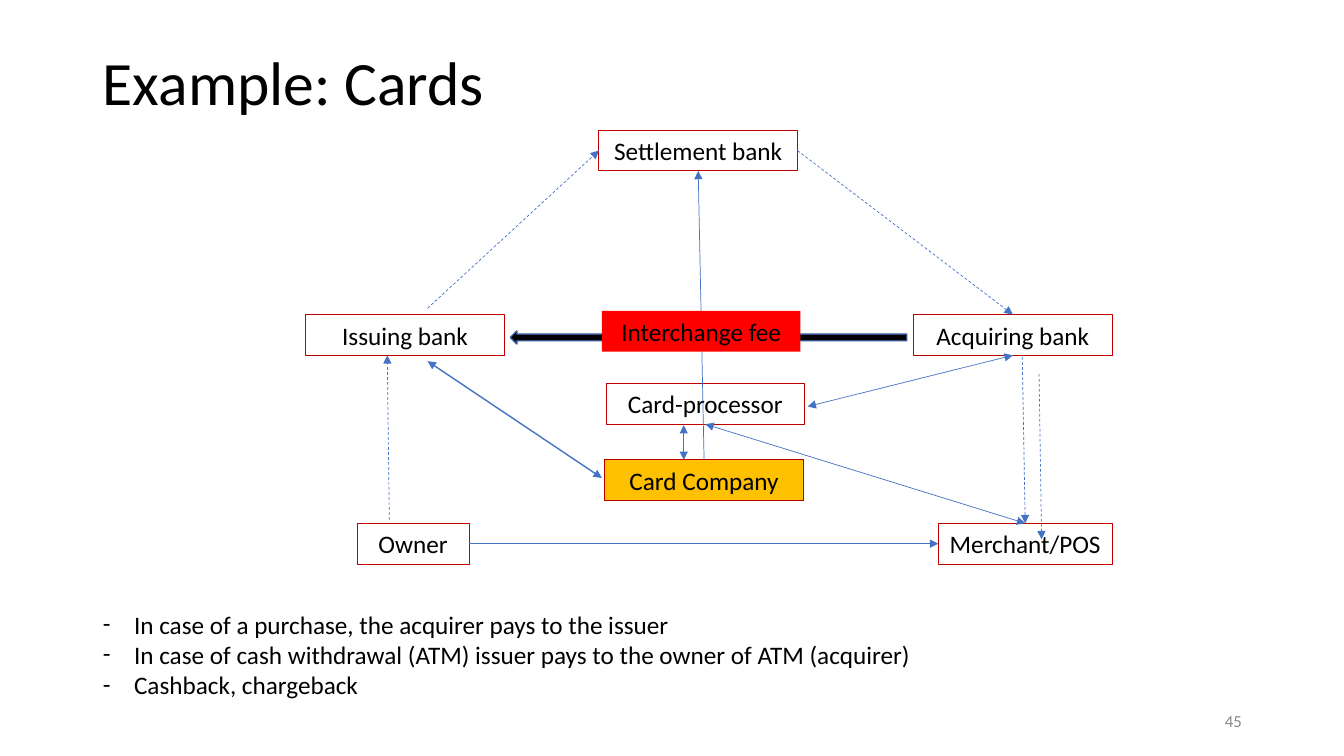
from dataclasses import dataclass
from typing import Any, Optional

from lxml import etree
from pptx import Presentation
from pptx import util as u
from pptx.dml.color import RGBColor
from pptx.enum import dml, shapes, text
from pptx.oxml import ns

COLUMNS, ROWS = 160, 90
WIDTH, HEIGHT = u.Inches(13.33), u.Inches(7.5)
BANK_WIDTH, BOX_HEIGHT = 23.64, 4.85
COLORS = {"ink": "000000", "border": "C00000", "card": "FFC000", "fee": "FF0000",
          "arrow": "4472C4", "outline": "325491", "number": "898989"}
Point = tuple[float, float]


@dataclass(frozen=True)
class Box:
    label: str
    column: float
    row: float
    width: float = BANK_WIDTH
    fill: Optional[str] = None
    line: Optional[str] = "border"

    @property
    def top(self) -> Point:
        return self.column + self.width / 2, self.row

    @property
    def bottom(self) -> Point:
        return self.column + self.width / 2, self.row + BOX_HEIGHT

    @property
    def left(self) -> Point:
        return self.column, self.row + BOX_HEIGHT / 2

    @property
    def right(self) -> Point:
        return self.column + self.width, self.row + BOX_HEIGHT / 2


@dataclass(frozen=True)
class Arrow:
    start: Point
    end: Point
    both: bool = False
    dashed: bool = False
    weight: float = 0.5


def across(columns: float) -> int:
    return round(WIDTH * columns / COLUMNS)


def down(rows: float) -> int:
    return round(HEIGHT * rows / ROWS)


def area(column: float, row: float, width: float, height: float) -> tuple[int, ...]:
    return across(column), down(row), across(width), down(height)


def color(name: str) -> RGBColor:
    return RGBColor.from_string(COLORS[name])


def apply(target: Any, values: dict[str, Any]) -> None:
    for name, value in values.items():
        setattr(target, name, value)


def write(para: Any, words: str, size: float, ink: str = "ink", **layout: Any) -> None:
    span = para.add_run()
    span.text = words
    apply(para, layout)
    apply(span.font, {"size": u.Pt(size), "name": "Calibri"})
    span.font.color.rgb = color(ink)


def paint(shape: Any, fill: Optional[str], line: Optional[str], weight: float) -> None:
    shape.shadow.inherit = False
    if fill:
        shape.fill.solid()
        shape.fill.fore_color.rgb = color(fill)
    else:
        shape.fill.background()
    if line:
        shape.line.color.rgb = color(line)
        shape.line.width = u.Pt(weight)
    else:
        shape.line.fill.background()


def draw_box(page: Any, box: Box) -> None:
    shape = page.shapes.add_shape(shapes.MSO_SHAPE.RECTANGLE,
                                  *area(box.column, box.row, box.width, BOX_HEIGHT))
    paint(shape, box.fill, box.line, 0.75)
    apply(shape.text_frame, {"word_wrap": False,
                             "vertical_anchor": text.MSO_ANCHOR.MIDDLE})
    write(shape.text_frame.paragraphs[0], box.label, 18, alignment=text.PP_ALIGN.CENTER)


def draw_arrow(page: Any, arrow: Arrow) -> None:
    (x1, y1), (x2, y2) = arrow.start, arrow.end
    connector = page.shapes.add_connector(shapes.MSO_CONNECTOR.STRAIGHT,
                                          across(x1), down(y1), across(x2), down(y2))
    connector.line.color.rgb = color("arrow")
    connector.line.width = u.Pt(arrow.weight)
    if arrow.dashed:
        connector.line.dash_style = dml.MSO_LINE.DASH
    outline = connector.line._get_or_add_ln()
    for end in ("a:headEnd", "a:tailEnd") if arrow.both else ("a:tailEnd",):
        etree.SubElement(outline, ns.qn(end), type="triangle")
    etree.SubElement(connector._element.spPr, ns.qn("a:effectLst"))


def fill_title(page: Any, words: str) -> None:
    title = page.shapes.title
    apply(title, dict(zip(("left", "top", "width", "height"), area(11.04, 4.8, 138, 10.68))))
    apply(title.text_frame, {"auto_size": text.MSO_AUTO_SIZE.NONE,
                             "vertical_anchor": text.MSO_ANCHOR.MIDDLE})
    write(title.text_frame.paragraphs[0], words, 44,
          alignment=text.PP_ALIGN.LEFT, line_spacing=0.9)


def fill_notes_list(page: Any, items: list[str]) -> None:
    body = page.placeholders[1]
    apply(body, dict(zip(("left", "top", "width", "height"), area(11.04, 71.9, 112.6, 12.1))))
    frame = body.text_frame
    frame.auto_size = text.MSO_AUTO_SIZE.NONE
    for index, item in enumerate(items):
        para = frame.add_paragraph() if index else frame.paragraphs[0]
        properties = para._p.get_or_add_pPr()
        indent = u.Inches(0.31)
        properties.set("marL", str(indent))
        properties.set("indent", str(-indent))
        etree.SubElement(properties, ns.qn("a:buFont"), typeface="Calibri")
        etree.SubElement(properties, ns.qn("a:buChar"), char="-")
        write(para, item, 18, space_before=u.Pt(0))


def add_page_number(page: Any, number: str) -> None:
    frame = page.shapes.add_textbox(*area(113.04, 83.4, 36, 4.8)).text_frame
    apply(frame, {"word_wrap": True, "vertical_anchor": text.MSO_ANCHOR.MIDDLE})
    write(frame.paragraphs[0], number, 12, "number", alignment=text.PP_ALIGN.RIGHT)


def main() -> None:
    deck = Presentation()
    apply(deck, {"slide_width": WIDTH, "slide_height": HEIGHT})
    page = deck.slides.add_slide(deck.slide_layouts[1])
    fill_title(page, "Example: Cards")
    fill_notes_list(page, [
        "In case of a purchase, the acquirer pays to the issuer",
        "In case of cash withdrawal (ATM) issuer pays to the owner of ATM (acquirer)",
        "Cashback, chargeback",
    ])

    owner = Box("Owner", 42.5, 62.3, 13.35)
    merchant = Box("Merchant/POS", 111.7, 62.3, 20.7)
    issuer = Box("Issuing bank", 36.4, 37.45)
    acquirer = Box("Acquiring bank", 108.75, 37.45)
    company = Box("Card Company", 72, 54.75, fill="card")
    processor = Box("Card-processor", 72.15, 45.65)
    settlement = Box("Settlement bank", 71.3, 15.5)
    fee = Box("Interchange fee", 71.65, 37, fill="fee", line=None)

    for box in (owner, merchant, issuer, acquirer, company, processor, settlement):
        draw_box(page, box)
    for arrow in (
        Arrow((50.9, 43), (71.65, 56.9), both=True, weight=1),
        Arrow(owner.right, merchant.left),
        Arrow(merchant.top, processor.bottom, both=True),
        Arrow((96.15, 48.4), acquirer.bottom, both=True),
        Arrow((81.4, 50.6), (81.4, company.row), both=True),
        Arrow(company.top, settlement.bottom),
        Arrow(settlement.right, acquirer.top, dashed=True),
        Arrow((50.9, 36.7), settlement.left, dashed=True),
        Arrow((121.7, 42.5), merchant.top, dashed=True),
        Arrow((46.35, 61.9), (46.1, issuer.bottom[1]), dashed=True),
        Arrow((123.7, 44.5), (124, 64.2), dashed=True),
    ):
        draw_arrow(page, arrow)

    fee_arrow = page.shapes.add_shape(shapes.MSO_SHAPE.LEFT_ARROW,
                                      *area(60.75, 39.4, 47.2, 1.56))
    paint(fee_arrow, "ink", "outline", 1)
    draw_box(page, fee)
    add_page_number(page, "45")
    deck.save("out.pptx")


if __name__ == "__main__":
    main()
